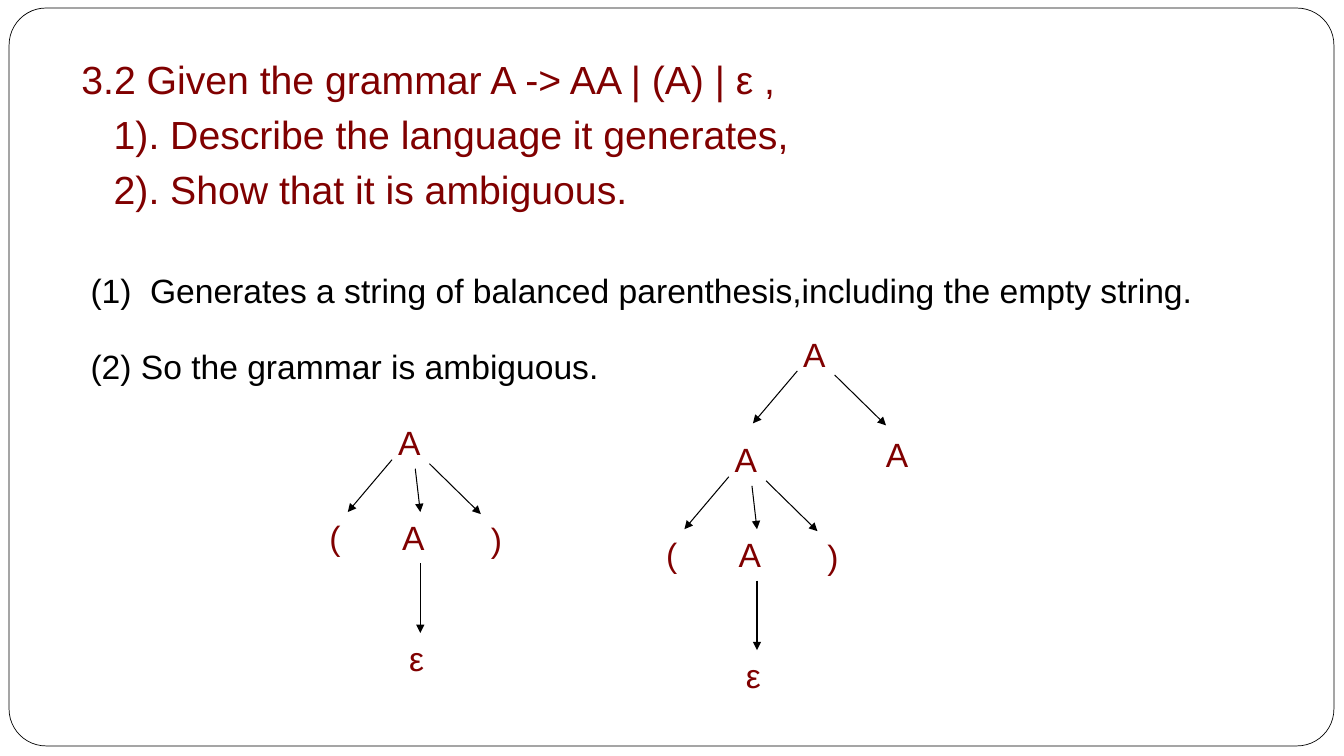
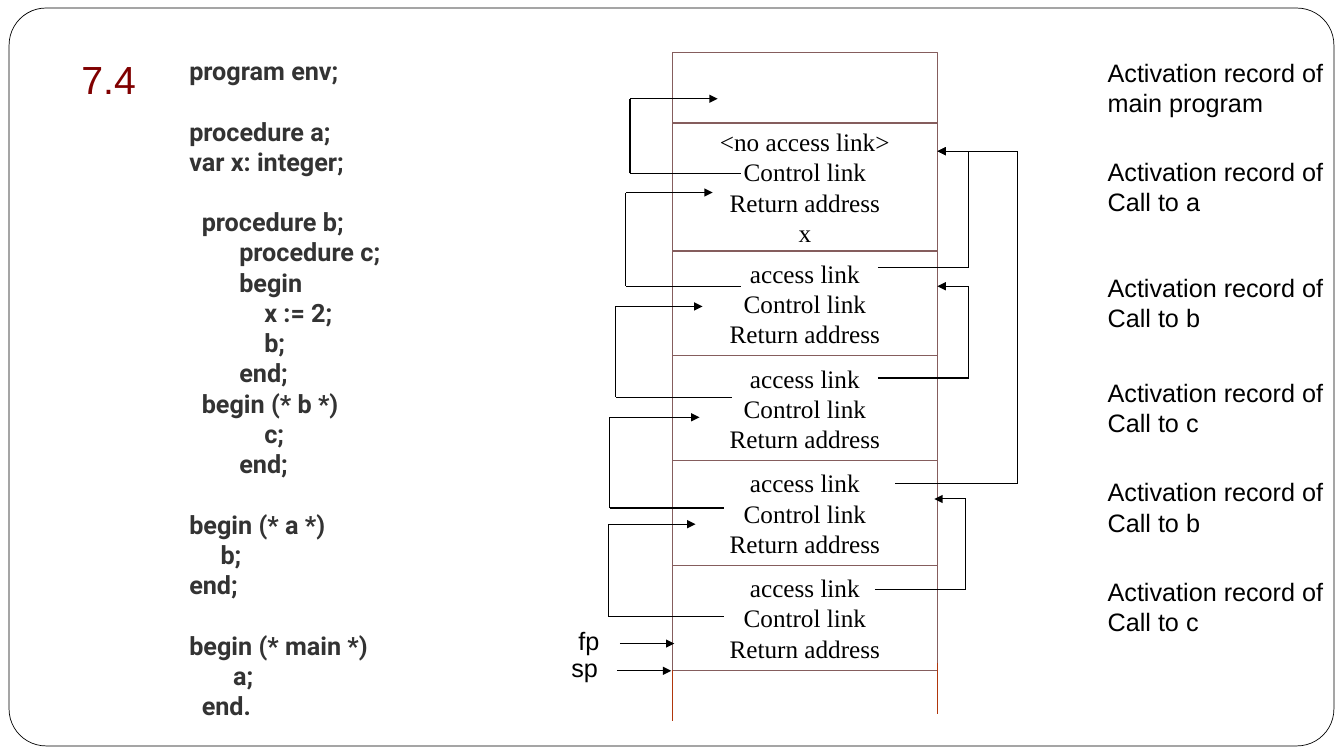
from dataclasses import dataclass
from itertools import pairwise

from lxml.etree import SubElement
from pptx import Presentation
from pptx.dml.color import RGBColor
from pptx.enum.shapes import MSO_CONNECTOR as Connector, MSO_SHAPE as Preset
from pptx.enum.text import MSO_ANCHOR as Anchor, PP_ALIGN as Align
from pptx.oxml.ns import qn
from pptx.util import Inches, Pt

CELL = 0.1  # inches per grid column and row


@dataclass(frozen=True)
class Style:
    """Type face, size and colour of a text."""
    font: str
    size: int
    color: str
    bold: bool = False


@dataclass(frozen=True)
class Theme:
    """Colours, line widths and text styles shared by the slides."""
    paper: str = "FFFFFF"
    ink: str = "000000"
    record: str = "855D5D"
    tail: str = "B1360B"
    hairline: float = 0.5
    thin: float = 0.75
    outline: float = 1
    title: Style = Style("Arial", 28, "800000")
    node: Style = Style("Arial", 24, "800000")
    body: Style = Style("Arial", 24, "000000")
    label: Style = Style("Arial", 18, "000000")
    field: Style = Style("Times New Roman", 18, "000000")
    code: Style = Style("Roboto", 18, "333333", True)


THEME = Theme()


@dataclass(frozen=True)
class Box:
    """Rectangle measured in grid columns and rows."""
    left: float
    top: float
    width: float
    height: float

    def inner(self, column, row, width, height):
        """Return a box placed relative to this one."""
        return Box(self.left + column, self.top + row, width, height)

    def point(self, column, row):
        """Return a point of the slide grid."""
        return self.left + column, self.top + row

    def lengths(self):
        """Return left, top, width and height for a shape."""
        return [cells(n) for n in (self.left, self.top, self.width, self.height)]


def cells(count):
    """Convert grid cells to a length."""
    return Inches(count * CELL)


def write(shape, lines, style, align=Align.LEFT, indents=None, gaps=None, hanging=0):
    """Write one styled paragraph per line; indents are cells, gaps are points."""
    frame = shape.text_frame
    frame.word_wrap = True
    for index, line in enumerate(lines):
        paragraph = frame.paragraphs[0] if index == 0 else frame.add_paragraph()
        paragraph.alignment = align
        paragraph.space_before = Pt(gaps[index] if gaps else 0)
        indent = indents[index] if indents else hanging
        if indent:
            properties = paragraph._p.get_or_add_pPr()
            properties.set("marL", str(cells(indent)))
            properties.set("indent", str(-cells(hanging)))
        run = paragraph.add_run()
        run.text = line
        run.font.name = style.font
        run.font.size = Pt(style.size)
        run.font.bold = style.bold
        run.font.color.rgb = RGBColor.from_string(style.color)


def add_text(slide, box, lines, style, **layout):
    """Add a text box."""
    write(slide.shapes.add_textbox(*box.lengths()), lines, style, **layout)


def add_panel(slide, box, preset, color, width):
    """Add a paper-coloured shape with an outline."""
    shape = slide.shapes.add_shape(preset, *box.lengths())
    shape.shadow.inherit = False
    shape.fill.solid()
    shape.fill.fore_color.rgb = RGBColor.from_string(THEME.paper)
    shape.line.color.rgb = RGBColor.from_string(color)
    shape.line.width = Pt(width)
    return shape


def add_line(slide, start, end, arrow=False, color=THEME.ink):
    """Add a straight line, with an arrowhead at its end if asked."""
    ends = [cells(n) for n in (*start, *end)]
    line = slide.shapes.add_connector(Connector.STRAIGHT, *ends)
    line.line.color.rgb = RGBColor.from_string(color)
    line.line.width = Pt(THEME.thin)
    if arrow:
        SubElement(line.line._get_or_add_ln(), qn("a:tailEnd"), type="triangle")
    SubElement(line._element.spPr, qn("a:effectLst"))


def add_route(slide, points):
    """Join points by straight lines and put an arrowhead on the last."""
    legs = list(pairwise(points))
    for index, (start, end) in enumerate(legs):
        add_line(slide, start, end, arrow=index == len(legs) - 1)


def framed_slide(presentation, page):
    """Add a blank slide with the rounded frame."""
    slide = presentation.slides.add_slide(presentation.slide_layouts[6])
    box = page.inner(0.9, 0.8, page.width - 1.9, page.height - 1.8)
    frame = add_panel(slide, box, Preset.ROUNDED_RECTANGLE, THEME.ink, THEME.hairline)
    frame.adjustments[0] = 0.05
    return slide


def add_title(slide, page, lines, indents):
    """Add the exercise heading at the top left."""
    gap = THEME.title.size * 0.2 if len(lines) > 1 else 0
    add_text(slide, page.inner(7.1, 5, 114.7, 17), lines, THEME.title,
             indents=indents, gaps=[gap] * len(lines))


def add_node(slide, box, column, row, symbol):
    """Add one grammar symbol of a parse tree."""
    add_text(slide, box.inner(column, row, 5.5, 5), [symbol], THEME.node)


def add_fork(slide, box):
    """Add a root symbol with arrows to its left and right children."""
    add_node(slide, box, 0, 0, "A")
    for start, end in [((0.4, 4.2), (-4, 9.4)), ((4.1, 4.6), (9.2, 9.6))]:
        add_line(slide, box.point(*start), box.point(*end), arrow=True)


def add_parenthesis_tree(slide, box):
    """Add the parse tree of A -> (A) with an empty inner A."""
    add_fork(slide, box.inner(6.8, 0, 5.5, 5))
    for column, row, symbol in [(0, 9.4, "("), (7.2, 9.4, "A"),
                                (16, 9.6, ")"), (7.9, 21.4, "ε")]:
        add_node(slide, box, column, row, symbol)
    for start, end in [((9.5, 5.1), (10, 9.4)), ((10, 14.5), (10, 21.4))]:
        add_line(slide, box.point(*start), box.point(*end), arrow=True)


def add_code(slide, box):
    """Add the program; each row is blank lines before, indent in spaces, text."""
    space, line_height = 0.62, 21.6
    program = [
        (0, 0, "program env;"), (1, 0, "procedure a;"), (0, 0, "var x: integer;"),
        (1, 2, "procedure b;"), (0, 8, "procedure c;"), (0, 8, "begin"),
        (0, 12, "x := 2;"), (0, 12, "b;"), (0, 8, "end;"),
        (0, 2, "begin (* b *)"), (0, 12, "c;"), (0, 8, "end;"),
        (1, 0, "begin (* a *)"), (0, 5, "b;"), (0, 0, "end;"),
        (1, 0, "begin (* main *)"), (0, 7, "a;"), (0, 2, "end."),
    ]
    blanks, spaces, lines = zip(*program)
    add_text(slide, box, lines, THEME.code,
             indents=[count * space for count in spaces],
             gaps=[count * line_height for count in blanks])


def add_records(slide, box):
    """Add the stacked activation records and the open end of the stack."""
    links = ["access link", "Control link", "Return address"]
    first_call = ["<no access link>", *links[1:], "x"]
    row = 0
    for height, fields in [(7, []), (12.7, first_call)] + [(10.4, links)] * 4:
        record = add_panel(slide, box.inner(0, row, box.width, height),
                           Preset.RECTANGLE, THEME.record, THEME.outline)
        record.text_frame.vertical_anchor = Anchor.MIDDLE
        write(record, fields, THEME.field, align=Align.CENTER)
        row += height
    for column, top in [(0, row), (box.width, row - 0.7)]:
        add_line(slide, box.point(column, top), box.point(column, top + 5),
                 color=THEME.tail)


def add_links(slide, box):
    """Add control links left of the stack and access links right of it."""
    control = [(6.8, 12, -4.2, 4.6, 4.5), (6.8, 23.2, -4.6, 13.9, 4),
               (5.9, 34.2, -5.6, 25.2, 3), (5.1, 45.2, -6.2, 36.2, 2.7),
               (5.1, 56, -6.3, 46.8, 2.3)]
    access = [(20.4, 21.3, 29.4, 9.8, 26.3), (20.4, 32.3, 29.4, 23.2, 26.3),
              (22.1, 42.8, 34.2, 9.8, 26.3), (20.1, 53.3, 29.1, 44.3, 26)]
    for start, start_row, elbow, end_row, tip in control + access:
        corners = [(start, start_row), (elbow, start_row),
                   (elbow, end_row), (tip, end_row)]
        add_route(slide, [box.point(*corner) for corner in corners])


def add_pointers(slide, box):
    """Add the frame and stack pointers at the foot of the stack."""
    for name, column, row, tip in [("fp", -10.3, 56.3, 0.2), ("sp", -11, 59, -0.1)]:
        add_text(slide, box.inner(column, row, 5.5, 4), [name], THEME.label)
        arrow_row = row + 2.35
        add_line(slide, box.point(tip - 5.4, arrow_row), box.point(tip, arrow_row),
                 arrow=True)


def add_record_labels(slide, box):
    """Name the activation records beside the stack."""
    owners = ["main program", "Call to a", "Call to b",
              "Call to c", "Call to b", "Call to c"]
    for row, owner in zip([0, 9.8, 21.3, 31.7, 41.6, 51.5], owners):
        add_text(slide, box.inner(0, row, box.width, 7.1),
                 ["Activation record of", owner], THEME.label)


def grammar_slide(presentation, page):
    """Build the ambiguous grammar exercise."""
    slide = framed_slide(presentation, page)
    add_title(slide, page, ["3.2 Given the grammar A -> AA | (A) | ε ,",
                            "1). Describe the language it generates,",
                            "2). Show that it is ambiguous."], [0, 3.2, 3.2])
    add_text(slide, page.inner(8, 26.3, 114.7, 5),
             ["(1)\tGenerates a string of balanced parenthesis,"
              "including the empty string."], THEME.body, hanging=5.9)
    add_text(slide, page.inner(8, 33.8, 54, 5),
             ["(2) So the grammar is ambiguous."], THEME.body)
    for column, row in [(31.7, 41.4), (65.1, 43.1)]:
        add_parenthesis_tree(slide, page.inner(column, row, 21.5, 26.4))
    add_fork(slide, page.inner(78.7, 32.6, 5.5, 5))
    add_node(slide, page, 86.9, 42.6, "A")


def stack_slide(presentation, page):
    """Build the activation record exercise."""
    slide = framed_slide(presentation, page)
    add_title(slide, page, ["7.4"], [0])
    add_code(slide, page.inner(17.8, 5, 36, 67.7))
    stack = page.inner(66.7, 5.2, 26.3, 61.3)
    for add_layer in (add_records, add_links, add_pointers):
        add_layer(slide, stack)
    add_record_labels(slide, page.inner(108.9, 5.2, 24, 58.6))


def main():
    """Build and save the presentation."""
    page = Box(0, 0, 133.33, 75)
    presentation = Presentation()
    presentation.slide_width = cells(page.width)
    presentation.slide_height = cells(page.height)
    grammar_slide(presentation, page)
    stack_slide(presentation, page)
    presentation.save("out.pptx")


main()
